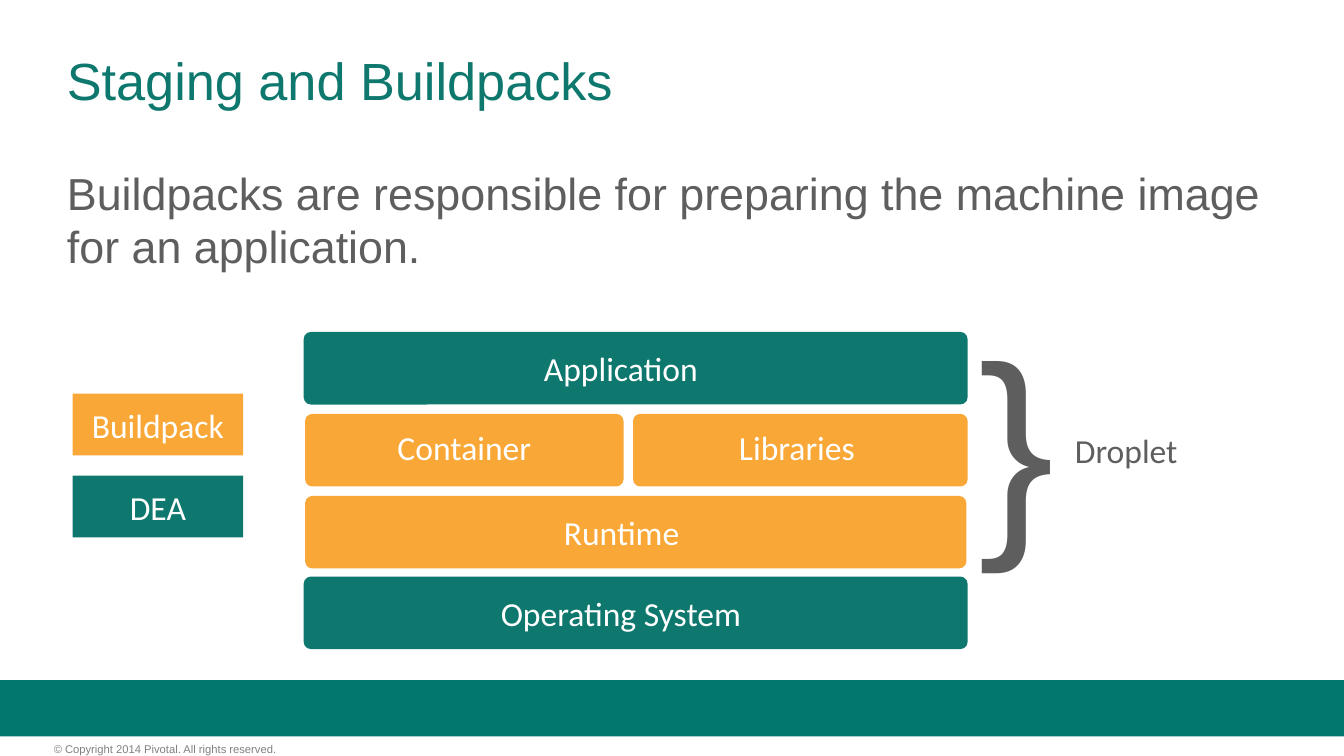
from pptx import Presentation
from pptx.dml.color import RGBColor
from pptx.enum.shapes import MSO_SHAPE
from pptx.enum.text import MSO_ANCHOR, MSO_AUTO_SIZE, PP_ALIGN
from pptx.util import Inches, Pt

TEAL = RGBColor(0x0F, 0x78, 0x6E)
BAND_TEAL = RGBColor(0x00, 0x78, 0x6E)
ORANGE = RGBColor(0xF9, 0xA7, 0x37)
GRAY = RGBColor(0x5E, 0x5E, 0x5E)
LIGHT_GRAY = RGBColor(0x80, 0x80, 0x80)
WHITE = RGBColor(0xFF, 0xFF, 0xFF)

prs = Presentation()
prs.slide_width, prs.slide_height = Inches(10), Inches(10 * 9 / 16)
s = prs.slides.add_slide(prs.slide_layouts[6])


def add_box(kind, x, y, w, h, fill):
    sp = s.shapes.add_shape(kind, Inches(x), Inches(y), Inches(w), Inches(h))
    sp.shadow.inherit = False
    sp.fill.solid()
    sp.fill.fore_color.rgb = fill
    sp.line.fill.background()
    return sp


def add_text(text, x, y, w, h, size, color, font="Arial", inset=None, label=False):
    """Add a text box; a label is centred, does not wrap and fits its text."""
    tf = s.shapes.add_textbox(Inches(x), Inches(y), Inches(w), Inches(h)).text_frame
    tf.word_wrap = not label
    if inset is not None:
        tf.margin_left = tf.margin_right = Inches(inset)
        tf.margin_top = tf.margin_bottom = Inches(inset)
    p = tf.paragraphs[0]
    p.text = text
    p.font.size, p.font.name, p.font.color.rgb = Pt(size), font, color
    if label:
        tf.auto_size = MSO_AUTO_SIZE.SHAPE_TO_FIT_TEXT
        tf.vertical_anchor = MSO_ANCHOR.MIDDLE
        p.alignment = PP_ALIGN.CENTER
    return p


# Footer, title and body
add_box(MSO_SHAPE.RECTANGLE, 0, 5.06, 10, 0.42, BAND_TEAL)
add_text("© Copyright 2014 Pivotal. All rights reserved.",
         0.4, 5.52, 2.49, 0.14, 6, LIGHT_GRAY, inset=0)
title = add_text("Staging and Buildpacks", 0.4, 0.36, 9.2, 0.68, 28, TEAL)
title.line_spacing = 0.9
add_text("Buildpacks are responsible for preparing the machine image for an application.",
         0.4, 1.18, 9.2, 3.75, 24, GRAY)

# Layers of the machine image: name, bar left, top, width, label left, top, width
LABEL_H = 0.46
layers = [
    ("Application", 2.26, 2.47, 4.94, 3.9, 2.51, 1.44, TEAL),
    ("Container", 2.27, 3.08, 2.37, 2.83, 3.1, 1.25, ORANGE),
    ("Libraries", 4.71, 3.08, 2.49, 5.38, 3.1, 1.1, ORANGE),
    ("Runtime", 2.27, 3.69, 4.92, 4.09, 3.73, 1.07, ORANGE),
    ("Operating System", 2.26, 4.29, 4.94, 3.53, 4.33, 2.18, TEAL),
]
for name, x, y, w, label_x, label_y, label_w, color in layers:
    bar = add_box(MSO_SHAPE.ROUNDED_RECTANGLE, x, y, w, 0.54, color)
    bar.adjustments[0] = 0.1
    add_text(name, label_x, label_y, label_w, LABEL_H, 18, WHITE, "Calibri", 0.06, True)

# Colour key
for name, y, color in [("Buildpack", 2.93, ORANGE), ("DEA", 3.54, TEAL)]:
    tf = add_box(MSO_SHAPE.RECTANGLE, 0.54, y, 1.27, LABEL_H, color).text_frame
    tf.margin_left = tf.margin_right = Inches(0.06)
    tf.margin_top = tf.margin_bottom = Inches(0.06)
    tf.vertical_anchor = MSO_ANCHOR.MIDDLE
    p = tf.paragraphs[0]
    p.text = name
    p.alignment = PP_ALIGN.CENTER
    p.font.size, p.font.name, p.font.color.rgb = Pt(18), "Calibri", WHITE

# Droplet bracket
add_text("}", 7.22, 2.24, 0.69, 2, 122, GRAY, inset=0.06, label=True)
add_text("Droplet", 7.88, 3.12, 1, LABEL_H, 18, GRAY, "Calibri", 0.06, True)

prs.save("out.pptx")
